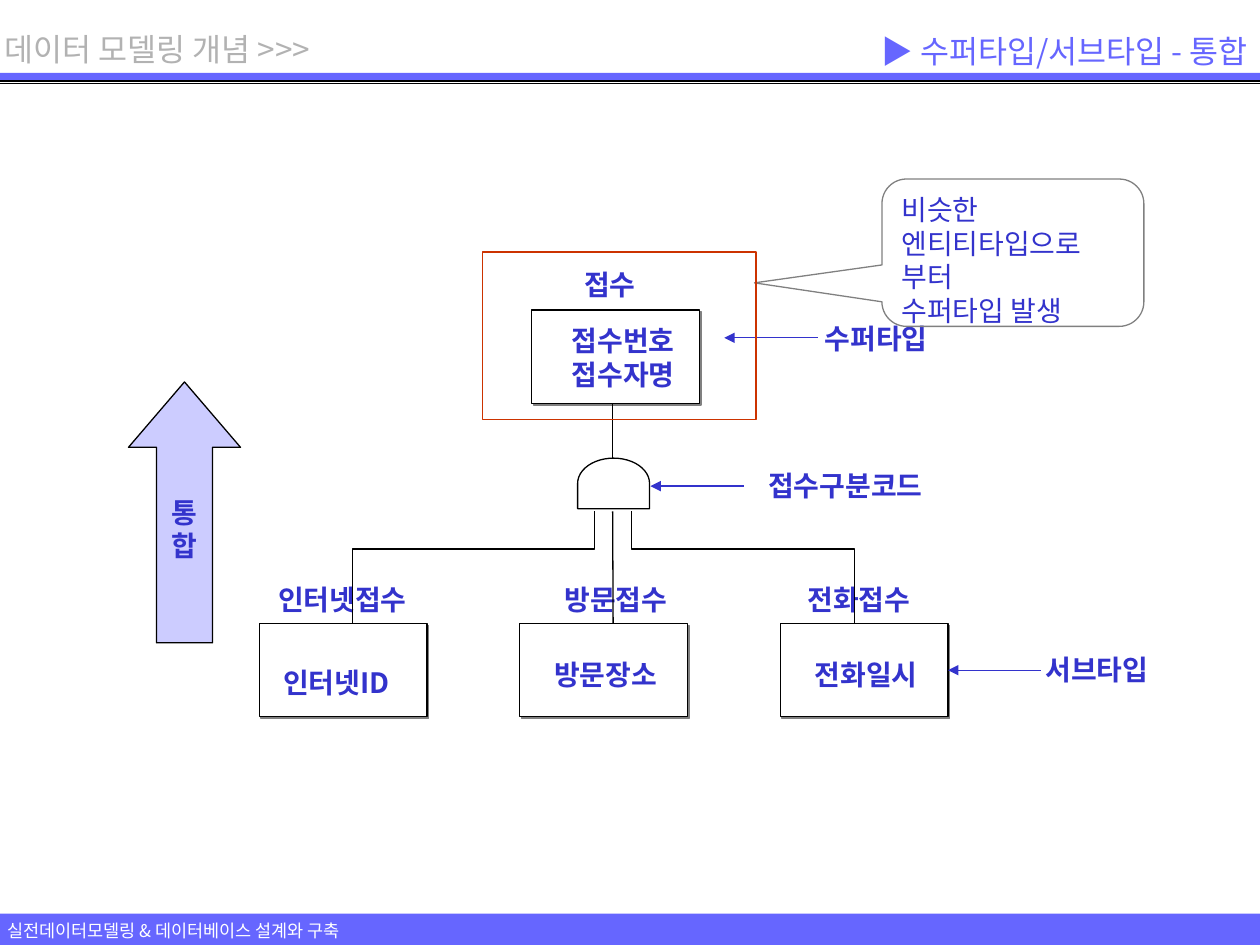
from lxml.etree import SubElement
from pptx import Presentation
from pptx.dml.color import RGBColor
from pptx.enum.shapes import MSO_CONNECTOR, MSO_SHAPE
from pptx.enum.text import MSO_ANCHOR, MSO_AUTO_SIZE, PP_ALIGN
from pptx.oxml.ns import qn
from pptx.util import Cm, Pt

FONT = "Noto Sans CJK KR"
WHITE = RGBColor(0xFF, 0xFF, 0xFF)
BLACK = RGBColor(0x00, 0x00, 0x00)
GRAY = RGBColor(0x80, 0x80, 0x80)
LIGHT_GRAY = RGBColor(0xB2, 0xB2, 0xB2)
VIOLET = RGBColor(0x66, 0x66, 0xFF)
LAVENDER = RGBColor(0xCC, 0xCC, 0xFF)
BLUE = RGBColor(0x33, 0x33, 0xCC)
RED = RGBColor(0xCC, 0x33, 0x00)

PAGE_W, PAGE_H = 25.4, 19.05
ENTITY_W, ENTITY_H = 3.38, 1.88
LABEL_H = 0.94
SUBTYPE_LEFT, SUBTYPE_TOP, SUBTYPE_PITCH = 5.23, 12.57, 5.25
BRANCH_TOP, BRANCH_BEND = 10.31, 11.07


def write(frame, text, size=16, color=BLUE, bold=False, align=PP_ALIGN.LEFT,
          anchor=MSO_ANCHOR.TOP, wrap=False):
    frame.word_wrap = wrap
    frame.auto_size = MSO_AUTO_SIZE.NONE
    frame.vertical_anchor = anchor
    frame.margin_left = frame.margin_right = Cm(0.25)
    frame.margin_top = frame.margin_bottom = Cm(0.13)
    frame.text = text
    for paragraph in frame.paragraphs:
        paragraph.alignment = align
        for run in paragraph.runs:
            font = run.font
            font.name, font.size, font.bold = FONT, Pt(size), bold
            font.color.rgb = color
            SubElement(run._r.get_or_add_rPr(), qn("a:ea"), typeface=FONT)


class Diagram:
    def __init__(self, slide, line_width=0.75):
        self.slide = slide
        self.shapes = slide.shapes
        self.line_width = Pt(line_width)

    def title(self, text, left, top, width, height, **style):
        holder = self.shapes.title
        holder.left, holder.top = Cm(left), Cm(top)
        holder.width, holder.height = Cm(width), Cm(height)
        write(holder.text_frame, text, **style)

    def label(self, text, left, top, width, height=LABEL_H, **style):
        box = self.shapes.add_textbox(Cm(left), Cm(top), Cm(width), Cm(height))
        write(box.text_frame, text, **{"bold": True, **style})

    def paint(self, shape, fill=None, line=None):
        shape.shadow.inherit = False
        if fill is None:
            shape.fill.background()
        else:
            shape.fill.solid()
            shape.fill.fore_color.rgb = fill
        if line is None:
            shape.line.fill.background()
        else:
            shape.line.color.rgb = line
            shape.line.width = self.line_width

    def shape(self, kind, left, top, width, height, fill=None, line=None):
        shape = self.shapes.add_shape(kind, Cm(left), Cm(top), Cm(width), Cm(height))
        self.paint(shape, fill, line)
        return shape

    def entity(self, left, top):
        """Draw a white box with a hard gray shadow at its lower right."""
        box = self.shape(MSO_SHAPE.RECTANGLE, left, top, ENTITY_W, ENTITY_H, WHITE, BLACK)
        effects = box._element.spPr.find(qn("a:effectLst"))
        shadow = SubElement(effects, qn("a:outerShdw"), dist="17780", dir="2700000",
                            algn="ctr", rotWithShape="0")
        SubElement(shadow, qn("a:srgbClr"), val=str(GRAY))
        return box

    def line(self, x1, y1, x2, y2, color=BLACK, arrow=False):
        line = self.shapes.add_connector(MSO_CONNECTOR.STRAIGHT,
                                         Cm(x1), Cm(y1), Cm(x2), Cm(y2))
        line.line.color.rgb = color
        line.line.width = self.line_width
        if arrow:
            SubElement(line.line._get_or_add_ln(), qn("a:tailEnd"), type="triangle")
        SubElement(line._element.spPr, qn("a:effectLst"))
        return line

    def branch(self, start_x, end_x):
        """Draw the bent line from the discriminator down to a subtype."""
        builder = self.shapes.build_freeform(Cm(start_x), Cm(BRANCH_TOP))
        corners = [(start_x, BRANCH_BEND), (end_x, BRANCH_BEND), (end_x, SUBTYPE_TOP)]
        builder.add_line_segments([(Cm(x), Cm(y)) for x, y in corners], close=False)
        self.paint(builder.convert_to_shape(), line=BLACK)


def main():
    deck = Presentation()
    deck.slide_width, deck.slide_height = Cm(PAGE_W), Cm(PAGE_H)
    diagram = Diagram(deck.slides.add_slide(deck.slide_layouts[5]))

    # Header and footer
    diagram.title("▶ 수퍼타입/서브타입 - 통합", 12.7, 0.48, 12.7, 1.09, size=18,
                  color=VIOLET, align=PP_ALIGN.RIGHT, anchor=MSO_ANCHOR.MIDDLE)
    for top, height in ((18.42, 0.63), (1.47, 0.16)):
        diagram.shape(MSO_SHAPE.RECTANGLE, 0, top, PAGE_W, height, VIOLET)
    for y in (1.63, 1.65, 1.68):
        diagram.line(0, y, PAGE_W, y)
    diagram.label("실전데이터모델링 & 데이터베이스 설계와 구축", -0.1, 18.42, 7.98, 0.69,
                  size=10, color=WHITE, bold=False)
    diagram.label("데이터 모델링 개념 >>>", -0.15, 0.48, 7.21, 1.02,
                  size=18, color=LIGHT_GRAY, bold=False)

    # Entities
    subtypes = [
        ("인터넷접수", 5.36, 3.1, "인터넷ID", 5.46, 13.28, 2.82),
        ("방문접수", 11.13, 2.57, "방문장소", 10.92, 13.13, 2.57),
        ("전화접수", 16.03, 2.57, "전화일시", 16.18, 13.13, 2.57),
    ]
    for i, (name, name_x, name_w, *_) in enumerate(subtypes):
        diagram.label(name, name_x, 11.61, name_w)
        last_subtype = diagram.entity(SUBTYPE_LEFT + i * SUBTYPE_PITCH, SUBTYPE_TOP)
    diagram.label("접수", 11.53, 5.26, 1.55)
    diagram.entity(10.72, 6.25)

    # Discriminator and branches
    discriminator = diagram.shape(MSO_SHAPE.FLOWCHART_DELAY, 11.86, 9.02, 1.02, 1.45,
                                  WHITE, BLACK)
    discriminator.rotation = 270
    diagram.line(12.35, 9.25, 12.35, 8.13)
    diagram.branch(11.99, 7.11)
    diagram.line(12.35, BRANCH_TOP, 12.36, SUBTYPE_TOP)
    diagram.branch(12.73, 17.22)

    # Attributes
    for *_, attribute, left, top, width in subtypes:
        diagram.label(attribute, left, top, width)
    diagram.label("접수번호\n접수자명", 11.28, 6.4, 2.57, 1.63)

    # Annotations
    annotations = [
        ("접수구분코드", 15.24, 9.32, 3.61, 13.11, 9.8),
        ("수퍼타입", 16.38, 6.35, 2.57, 14.6, 6.81),
        ("서브타입", 20.83, 13.03, 2.57, 19.1, 13.51),
    ]
    for text, left, top, width, tip_x, y in annotations:
        diagram.label(text, left, top, width)
        pointer = diagram.line(tip_x + 1.88, y, tip_x, y, BLUE, arrow=True)
    pointer.end_connect(last_subtype, 3)

    integration = diagram.shape(MSO_SHAPE.UP_ARROW, 2.59, 7.7, 2.26, 5.26, LAVENDER, BLACK)
    integration.adjustments[1] = 0.584
    write(integration.text_frame, "통\n합", bold=True, align=PP_ALIGN.CENTER,
          anchor=MSO_ANCHOR.MIDDLE)

    remark = diagram.shape(MSO_SHAPE.ROUNDED_RECTANGULAR_CALLOUT, 17.78, 3.61, 5.28, 2.97,
                           line=GRAY)
    for i, value in enumerate((-0.987, 0.205, 0.167)):
        remark.adjustments[i] = value
    write(remark.text_frame, "비슷한\n엔티티타입으로\n부터\n수퍼타입 발생", wrap=True)

    diagram.shape(MSO_SHAPE.RECTANGLE, 9.73, 5.08, 5.51, 3.38, line=RED)
    deck.save("out.pptx")


if __name__ == "__main__":
    main()
